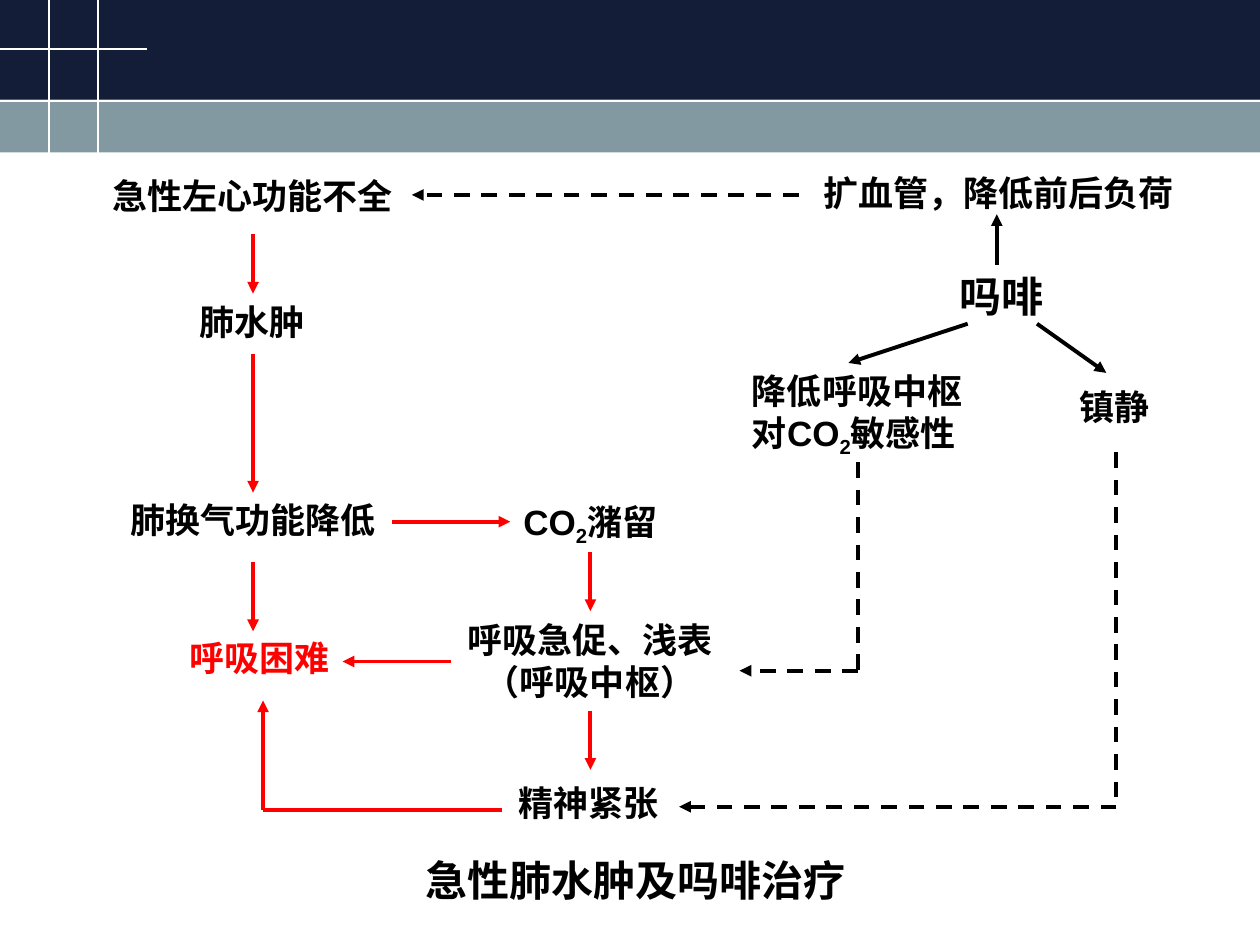
from itertools import pairwise

from lxml.etree import SubElement
from pptx import Presentation
from pptx.dml.color import RGBColor as Color
from pptx.enum.dml import MSO_LINE_DASH_STYLE as Dash
from pptx.enum.shapes import MSO_CONNECTOR_TYPE as Connector
from pptx.enum.shapes import MSO_AUTO_SHAPE_TYPE as Shape
from pptx.enum.text import MSO_ANCHOR as Anchor
from pptx.enum.text import MSO_AUTO_SIZE as AutoSize
from pptx.enum.text import PP_ALIGN as Align
from pptx.oxml.ns import qn
from pptx.util import Pt

COLORS = {
    "navy": "131D37",
    "slate": "8399A1",
    "white": "FFFFFF",
    "black": "000000",
    "red": "FF0000",
}
WIDTH, HEIGHT = 720, 540

BANDS = [(56.9, 30.2, "slate"), (0, 56.9, "navy")]
GRID_LINES = [
    [(56.2, 0), (56.2, 89.3)],
    [(0, 28.1), (84.2, 28.1)],
    [(28.1, 0), (28.1, 89.3)],
    [(0, 57.6), (WIDTH, 57.6)],
]

LABELS = [
    ("急性左心功能不全", (57.2, 96.2, 176, 31.7), {}),
    ("肺水肿", (106.8, 168.2, 76, 31.7), {}),
    ("肺换气功能降低", (67.5, 281.5, 156, 31.7), {}),
    ("呼吸困难", (101.2, 360, 97.9, 31.7), {"color": "red", "wrap": True}),
    ("扩血管，降低前后负荷", (463.5, 94.3, 216, 31.7), {}),
    ("吗啡", (541.4, 151.2, 73.4, 36), {"size": 24, "wrap": True}),
    ("降低呼吸中枢对CO|2|敏感性", (422.6, 207.4, 147.6, 59), {"wrap": True}),
    ("镇静", (609.6, 216.7, 56, 31.7), {}),
    ("CO|2|潴留", (292, 282.2, 98, 34.6), {}),
    ("呼吸急促、浅表（呼吸中枢）", (258, 349.9, 158.4, 55.4),
     {"wrap": True, "align": Align.CENTER}),
    ("精神紧张", (289.4, 442.8, 96, 31.7), {}),
]

DISEASE_ROUTES = [
    [(144.6, 133.9), (144.6, 167.8)],
    [(144.6, 202.3), (144.6, 281.5)],
    [(144.6, 321.1), (144.6, 360.7)],
    [(223.9, 298.1), (291.6, 298.1)],
    [(257.8, 378), (195.8, 378)],
    [(337.4, 315.4), (337.4, 349.2)],
    [(337.4, 406.1), (337.4, 439.9)],
    [(286.6, 463), (150.3, 463), (150.3, 400.3)],
]
MORPHINE_ROUTES = [
    [(569.6, 151.2), (569.6, 122.4)],
    [(553, 185), (484.8, 207.4)],
    [(592.6, 185), (632.2, 213.1)],
]
RELIEF_ROUTES = [
    [(490.3, 264.2), (490.3, 383.3), (422.6, 383.3)],
    [(637.9, 258.5), (637.9, 461), (388.1, 461)],
    [(456.5, 111.4), (235.4, 111.4)],
]


def color(name):
    return Color.from_string(COLORS[name])


def add_band(page, top, height, fill):
    band = page.shapes.add_shape(
        Shape.RECTANGLE, Pt(0), Pt(top), Pt(WIDTH), Pt(height))
    band.shadow.inherit = False
    band.fill.solid()
    band.fill.fore_color.rgb = color(fill)
    band.line.fill.background()


def add_route(page, points, tint, width=2.25, dash=None, arrow=True):
    for start, end in pairwise(points):
        line = page.shapes.add_connector(
            Connector.STRAIGHT, *map(Pt, start + end))
        line.line.color.rgb = color(tint)
        line.line.width = Pt(width)
        if dash:
            line.line.dash_style = dash
        properties = line._element.spPr
        if arrow and end == points[-1]:
            SubElement(properties.find(qn("a:ln")), qn("a:tailEnd"), type="triangle")
        SubElement(properties, qn("a:effectLst"))


def write_text(box, text, size=20, tint="black", wrap=False, align=Align.LEFT):
    frame = box.text_frame
    frame.word_wrap = wrap
    frame.auto_size = AutoSize.SHAPE_TO_FIT_TEXT
    frame.vertical_anchor = Anchor.TOP
    para = frame.paragraphs[0]
    para.alignment = align
    for index, part in enumerate(text.split("|")):
        span = para.add_run()
        span.text = part
        span.font.name = "Arial"
        span.font.size = Pt(size)
        span.font.bold = True
        span.font.color.rgb = color(tint)
        if index % 2:
            span.font._element.set("baseline", "-25000")


def add_label(page, text, bounds, color="black", **style):
    box = page.shapes.add_textbox(*map(Pt, bounds))
    write_text(box, text, tint=color, **style)


def place_title(page, text, bounds):
    title = page.shapes.title
    title.left, title.top, title.width, title.height = map(Pt, bounds)
    write_text(title, text, size=24)


def main():
    deck = Presentation()
    deck.slide_width, deck.slide_height = Pt(WIDTH), Pt(HEIGHT)
    page = deck.slides.add_slide(deck.slide_layouts[5])
    for band in BANDS:
        add_band(page, *band)
    for points in GRID_LINES:
        add_route(page, points, "white", width=1, arrow=False)
    place_title(page, "急性肺水肿及吗啡治疗", (236.2, 484.6, 258, 36))
    for text, bounds, style in LABELS:
        add_label(page, text, bounds, **style)
    for points in DISEASE_ROUTES:
        add_route(page, points, "red")
    for points in MORPHINE_ROUTES:
        add_route(page, points, "black")
    for points in RELIEF_ROUTES:
        add_route(page, points, "black", dash=Dash.DASH)
    deck.save("out.pptx")


if __name__ == "__main__":
    main()
